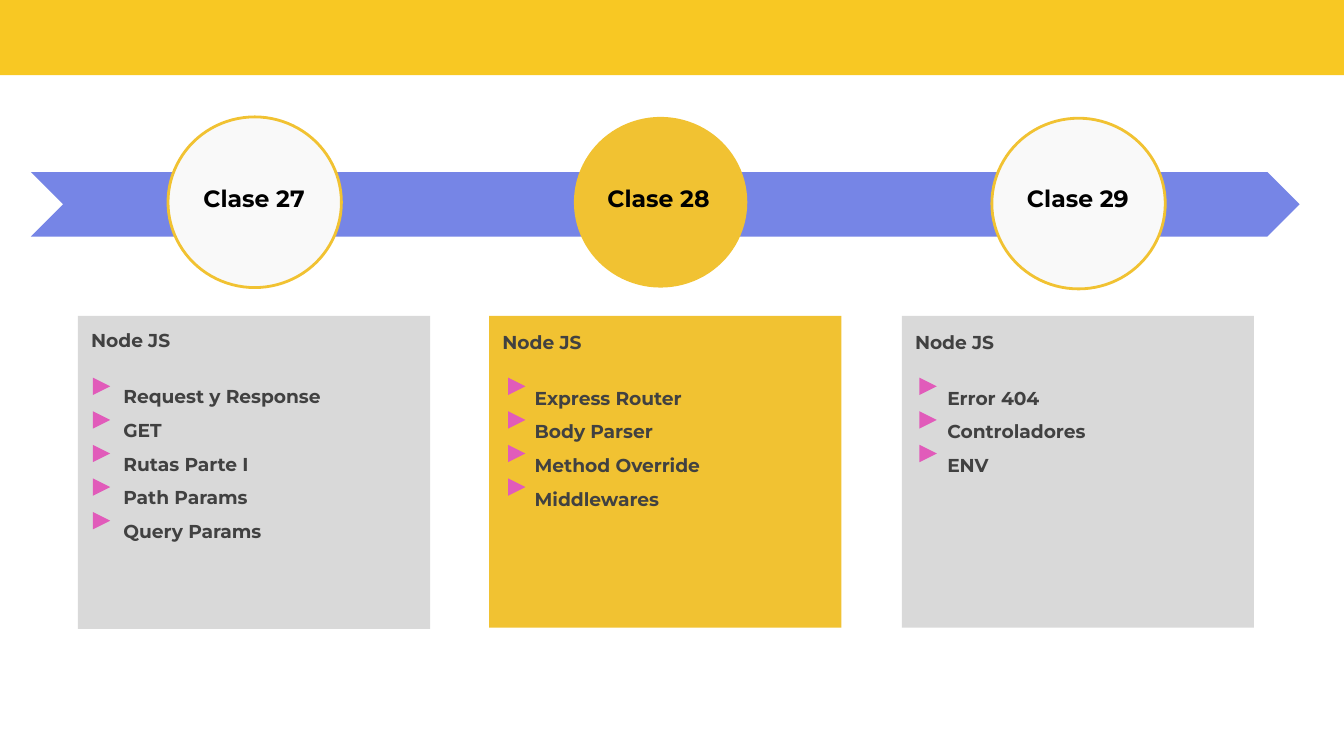
from dataclasses import dataclass

import pptx
import pptx.dml.color
import pptx.enum.shapes
import pptx.enum.text
import pptx.util

Inches = pptx.util.Inches
Shape = pptx.enum.shapes.MSO_SHAPE
Align = pptx.enum.text.PP_ALIGN

COLORS = {
    "banner": "F8C823",
    "arrow": "7685E6",
    "gold": "F1C232",
    "white": "F9F9F9",
    "gray": "D9D9D9",
    "pink": "E15BBA",
    "black": "000000",
    "text": "414141",
}
SLIDE_WIDTH = Inches(10)
SLIDE_HEIGHT = SLIDE_WIDTH * 9 // 16
ITEM_PITCH = 0.25
TEXT_INDENT = 0.24


@dataclass(frozen=True)
class Lesson:
    title: str
    topics: tuple[str, ...]
    circle_left: float
    circle_top: float
    title_left: float
    card_left: float
    card_height: float
    text_top: float
    marker_left: float
    current: bool = False


LESSONS = (
    Lesson("Clase 27",
           ("Request y Response", "GET", "Rutas Parte I", "Path Params", "Query Params"),
           1.25, 0.87, 1.29, 0.58, 2.33, 2.35, 0.69),
    Lesson("Clase 28",
           ("Express Router", "Body Parser", "Method Override", "Middlewares"),
           4.27, 0.87, 4.3, 3.64, 2.32, 2.36, 3.78, True),
    Lesson("Clase 29",
           ("Error 404", "Controladores", "ENV"),
           7.38, 0.88, 7.42, 6.71, 2.32, 2.36, 6.84),
)


def color(name: str) -> pptx.dml.color.RGBColor:
    return pptx.dml.color.RGBColor.from_string(COLORS[name])


def apply(target: object, values: dict) -> None:
    for name, value in values.items():
        setattr(target, name, value)


def add_figure(page, kind, left: float, top: float, width: float, height: float,
               fill: str, outline: str = ""):
    figure = page.shapes.add_shape(kind, Inches(left), Inches(top), Inches(width), Inches(height))
    figure.shadow.inherit = False
    figure.fill.solid()
    figure.fill.fore_color.rgb = color(fill)
    if outline:
        figure.line.color.rgb = color(outline)
        figure.line.width = pptx.util.Pt(1.5)
    else:
        figure.line.fill.background()
    return figure


def add_text(page, left: float, top: float, width: float, height: float,
             lines: tuple[str, ...], size: float, ink: str, align):
    box = page.shapes.add_textbox(Inches(left), Inches(top), Inches(width), Inches(height))
    frame = box.text_frame
    margin = Inches(0.1)
    apply(frame, {
        "word_wrap": True,
        "vertical_anchor": pptx.enum.text.MSO_ANCHOR.TOP,
        "margin_left": margin,
        "margin_right": margin,
        "margin_top": margin,
        "margin_bottom": margin,
    })
    for index, line in enumerate(lines):
        para = frame.paragraphs[0] if index == 0 else frame.add_paragraph()
        para.alignment = align
        span = para.add_run()
        span.text = line
        apply(span.font, {"name": "Montserrat", "size": pptx.util.Pt(size), "bold": True})
        span.font.color.rgb = color(ink)
    return box


def draw_milestone(page, lesson: Lesson) -> None:
    fill, outline = ("gold", "") if lesson.current else ("white", "gold")
    add_figure(page, Shape.OVAL, lesson.circle_left, lesson.circle_top, 1.29, 1.27, fill, outline)
    add_text(page, lesson.title_left, 1.27, 1.2, 0.33,
             (lesson.title,), 12.6, "black", Align.CENTER)


def draw_card(page, lesson: Lesson) -> None:
    fill = "gold" if lesson.current else "gray"
    add_figure(page, Shape.RECTANGLE, lesson.card_left, 2.35, 2.62, lesson.card_height, fill)
    box = add_text(page, lesson.card_left, lesson.text_top, 2.62, 2.31,
                   ("Node JS", *lesson.topics), 10, "text", Align.LEFT)
    for index, para in enumerate(box.text_frame.paragraphs[1:]):
        para.line_spacing = 1.5
        para.space_before = pptx.util.Pt(0 if index else 12)
        para._p.get_or_add_pPr().set("marL", str(Inches(TEXT_INDENT)))
        marker = add_figure(page, Shape.ISOSCELES_TRIANGLE, lesson.marker_left,
                            2.81 + index * ITEM_PITCH, 0.13, 0.13, "pink")
        marker.rotation = 90


def main() -> None:
    deck = pptx.Presentation()
    apply(deck, {"slide_width": SLIDE_WIDTH, "slide_height": SLIDE_HEIGHT})
    page = deck.slides.add_slide(deck.slide_layouts[6])
    add_figure(page, Shape.RECTANGLE, 0, 0, 10, 0.56, "banner")
    add_figure(page, Shape.CHEVRON, 0.23, 1.28, 9.44, 0.48, "arrow")
    for lesson in LESSONS:
        draw_milestone(page, lesson)
        draw_card(page, lesson)
    deck.save("out.pptx")


if __name__ == "__main__":
    main()
